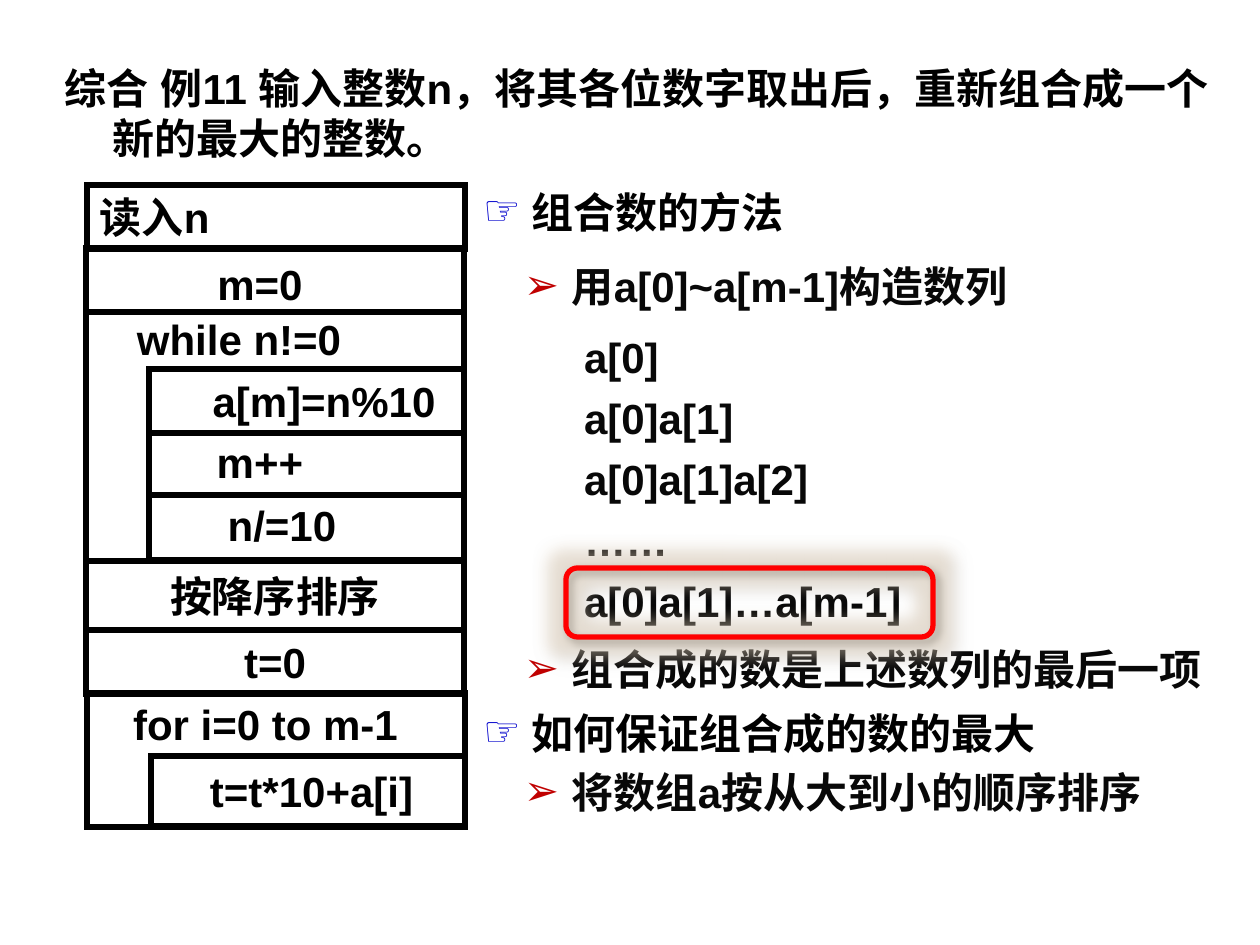
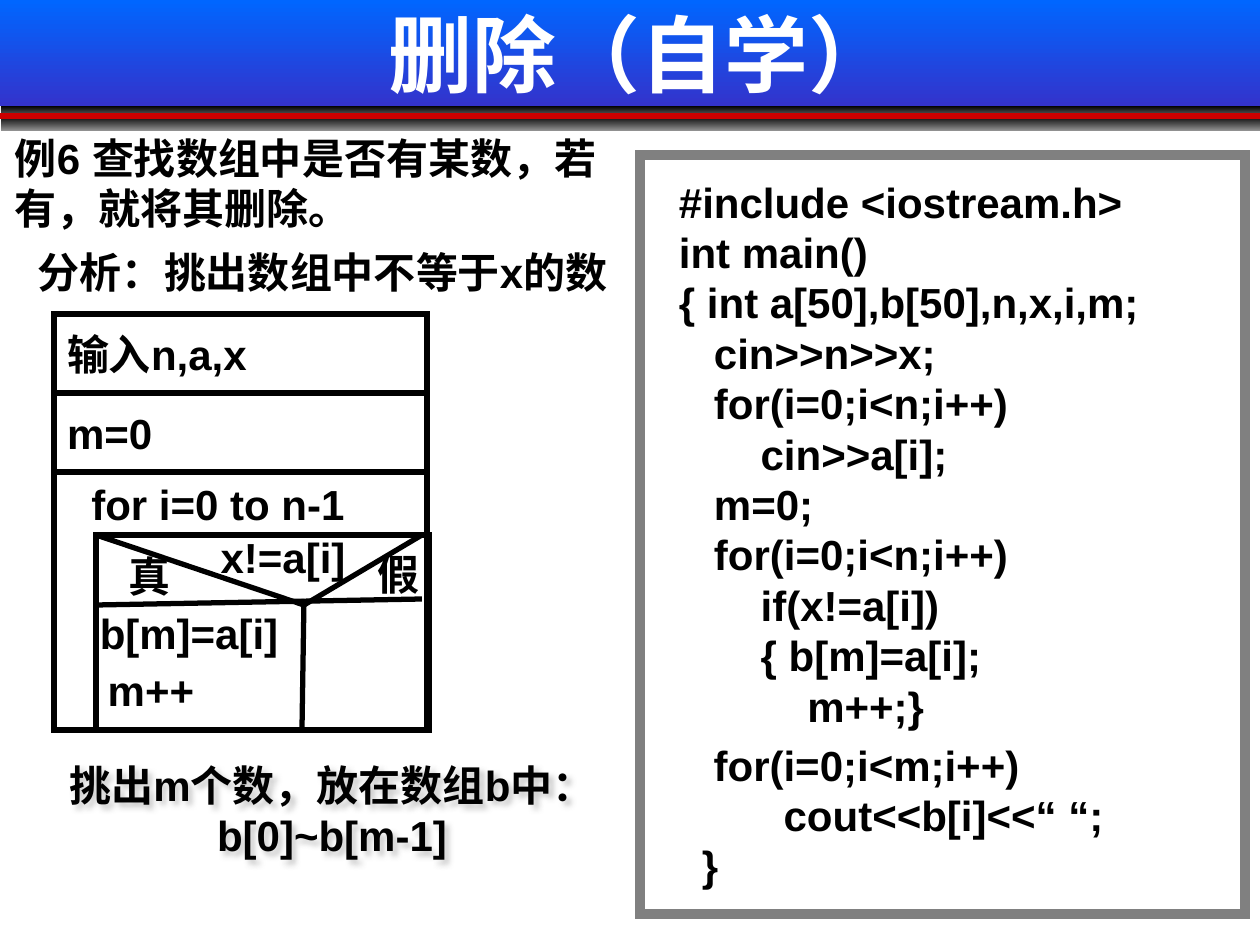
from lxml.etree import SubElement
from pptx import Presentation
from pptx.dml.color import RGBColor
from pptx.enum.shapes import MSO_CONNECTOR as CONN, MSO_SHAPE as SHAPE
from pptx.enum.text import MSO_ANCHOR as ANCHOR, PP_ALIGN as ALIGN
from pptx.oxml.ns import qn
from pptx.util import Emu, Pt

SCALE = 914400 / 126
BLACK, INK, WHITE, GRAY = "000000", "080808", "FFFFFF", "808080"
RED, BAND_RED, SHADE = "FF0000", "CC0000", "929292"
BLUE_TOP, BLUE_BOTTOM, GLOW = "0066FF", "3333CC", "E3CFB4"
HAND, ARROW = ("☞", "0000CC"), ("➢", "C00000")
SANS, CJK = "Arial", "Noto Sans CJK SC"
INSET, HANG, SPACE = 13, 48, 11.67


def px(n):
    return Emu(round(n * SCALE))


def color(value):
    return RGBColor.from_string(value)


def add(parent, tag, **attrs):
    return SubElement(parent, qn(tag), {k: str(v) for k, v in attrs.items()})


def tint(parent, value, alpha):
    add(add(parent, "a:srgbClr", val=value), "a:alpha", val=alpha * 1000)


def effects(sp, shadow=None, glow=None):
    lst = sp._element.spPr.find(qn("a:effectLst"))
    if lst is None:
        lst = add(sp._element.spPr, "a:effectLst")
    if glow:
        value, radius, alpha = glow
        tint(add(lst, "a:glow", rad=Pt(radius)), value, alpha)
    if shadow:
        value, alpha, blur, dist = shadow
        tint(add(lst, "a:outerShdw", blurRad=Pt(blur), dist=Pt(dist),
                 dir=45 * 60000, algn="ctr", rotWithShape=0), value, alpha)


def bullet(p, char, value):
    pPr = p._p.get_or_add_pPr()
    pPr.set("marL", str(px(HANG)))
    pPr.set("indent", str(-px(HANG)))
    if char:
        add(add(pPr, "a:buClr"), "a:srgbClr", val=value)
        add(pPr, "a:buFont", typeface=SANS)
        add(pPr, "a:buChar", char=char)


def write(sp, text, size=24, value=BLACK, font=SANS, align=ALIGN.CENTER,
          anchor=ANCHOR.MIDDLE, wrap=True, left=INSET, right=INSET, before=0,
          leading=28.8, mark=None, indents=()):
    tf = sp.text_frame
    tf.word_wrap = wrap
    tf.vertical_anchor = anchor
    tf.margin_left, tf.margin_right = px(left), px(right)
    for i, line in enumerate(text.split("\n")):
        p = tf.paragraphs[0] if i == 0 else tf.add_paragraph()
        p.alignment = align
        p.space_before = Pt(before)
        if leading:
            p.line_spacing = Pt(leading)
        if mark:
            bullet(p, *mark)
        elif indents:
            p._p.get_or_add_pPr().set("marL", str(px(indents[i] * SPACE)))
        r = p.add_run()
        r.text = line
        r.font.size, r.font.bold, r.font.name = Pt(size), True, font
        r.font.color.rgb = color(value)
        add(r._r.get_or_add_rPr(), "a:ea", typeface=SANS)


def label(s, x, y, w, h, text, **fmt):
    sp = s.shapes.add_textbox(px(x), px(y), px(w), px(h))
    write(sp, text, **fmt)
    return sp


def chart_labels(s, *items):
    for x, y, w, text in items:
        label(s, x, y, w, 64, text, wrap=False, left=0, right=0)


def box(s, x, y, w, h, text=None, shape=SHAPE.RECTANGLE, fill=None,
        line=BLACK, weight=3, **fmt):
    sp = s.shapes.add_shape(shape, px(x), px(y), px(w), px(h))
    sp.shadow.inherit = False
    if fill:
        sp.fill.solid()
        sp.fill.fore_color.rgb = color(fill)
    else:
        sp.fill.background()
    sp.line.color.rgb = color(line)
    sp.line.width = Pt(weight)
    add(sp._element.spPr.find(qn("a:ln")), "a:miter", lim=800000)
    if text:
        write(sp, text, **fmt)
    return sp


def band(s, x, y, w, h, top, bottom):
    sp = box(s, x, y, w, h)
    sp.line.fill.background()
    sp.fill.gradient()
    sp.fill.gradient_angle = 270
    for stop, value, pos in zip(sp.fill.gradient_stops, (top, bottom), (0, 1)):
        stop.color.rgb = color(value)
        stop.position = pos
    return sp


def line(s, x1, y1, x2, y2, value=BLACK):
    c = s.shapes.add_connector(CONN.STRAIGHT, px(x1), px(y1), px(x2), px(y2))
    c.line.color.rgb = color(value)
    c.line.width = Pt(3)
    effects(c)


def digits_chart(s):
    box(s, 86, 248, 378, 64)
    box(s, 86, 561, 378, 69, "按降序排序")
    box(s, 86, 312, 378, 249)
    box(s, 149, 369, 315, 64, "a[m]=n%10", left=48)
    box(s, 149, 369, 315, 191)
    line(s, 149, 495, 464, 495)
    box(s, 86, 630, 378, 64, "t=0")
    box(s, 87, 693, 378, 134)
    box(s, 151, 756, 314, 70)
    box(s, 87, 185, 378, 64, "读入n", align=ALIGN.LEFT)
    chart_labels(s, (134, 252, 252, "m=0"), (204, 430, 112, "m++"),
                 (123, 307, 232, "while n!=0"), (166, 493, 232, "n/=10"),
                 (105, 692, 321, "for i=0 to m-1"),
                 (151, 759, 321, "t=t*10+a[i]"))


def combine_slide(s):
    digits_chart(s)
    label(s, 52, 56, 1172, 110,
          "综合 例11 输入整数n，将其各位数字取出后，重新组合成一个新的最大的整数。",
          align=ALIGN.LEFT, anchor=ANCHOR.TOP, mark=(None, None))
    for y, text in ((180, "组合数的方法"), (701, "如何保证组合成的数的最大")):
        label(s, 470, y, 625, 63, text, font=CJK, align=ALIGN.LEFT, mark=HAND)
    for y, text in ((254, "用a[0]~a[m-1]构造数列"),
                    (637, "组合成的数是上述数列的最后一项"),
                    (760, "将数组a按从大到小的顺序排序")):
        label(s, 511, y, 719, 63, text, value=INK, align=ALIGN.LEFT, mark=ARROW)
    label(s, 571, 324, 684, 310,
          "a[0]\na[0]a[1]\na[0]a[1]a[2]\n……\na[0]a[1]…a[m-1]",
          value=INK, align=ALIGN.LEFT, before=6)
    frame = box(s, 566, 568, 367, 69, shape=SHAPE.ROUNDED_RECTANGLE, line=RED)
    effects(frame, shadow=(GRAY, 100, 5, 2.8), glow=(GLOW, 18, 40))


def title_band(s, title):
    blue = band(s, 0, 0, 1260, 106, BLUE_TOP, BLUE_BOTTOM)
    effects(blue, shadow=(GRAY, 75, 5, 3))
    for y in (106, 116):
        band(s, 1, y, 1259, 15, BLACK, SHADE)
    line(s, 0, 116, 1260, 116, BAND_RED)
    label(s, 105, 11, 1071, 84, title, size=48, value=WHITE, leading=None)


def filter_chart(s):
    for y, text in ((314, "输入n,a,x"), (393, "m=0")):
        box(s, 54, y, 373, 79, text, align=ALIGN.LEFT)
    box(s, 54, 472, 373, 258)
    box(s, 96, 535, 333, 195)
    for ends in ((96, 605, 422, 599), (96, 535, 304, 605),
                 (304, 605, 422, 535), (304, 599, 302, 731)):
        line(s, *ends)
    chart_labels(s, (79, 472, 278, "for i=0 to n-1"),
                 (205, 525, 156, "x!=a[i]"), (116, 544, 68, "真"),
                 (84, 601, 210, "b[m]=a[i]"), (364, 542, 68, "假"),
                 (95, 658, 112, "m++"))


def code(s, x, y, w, h, lines):
    indents, texts = zip(*lines)
    label(s, x, y, w, h, "\n".join(texts), align=ALIGN.LEFT,
          anchor=ANCHOR.TOP, indents=indents)


def delete_slide(s):
    label(s, 2, 126, 636, 114, "例6 查找数组中是否有某数，若有，就将其删除。",
          align=ALIGN.LEFT)
    label(s, 25, 240, 621, 64, "分析：挑出数组中不等于x的数", align=ALIGN.LEFT)
    filter_chart(s)
    box(s, 640, 155, 605, 759, fill=WHITE, line=GRAY, weight=6)
    code(s, 666, 170, 530, 567, (
        (0, "#include <iostream.h>"), (0, "int main()"),
        (0, "{ int a[50],b[50],n,x,i,m;"), (3, "cin>>n>>x;"),
        (3, "for(i=0;i<n;i++)"), (7, "cin>>a[i];"), (3, "m=0;"),
        (3, "for(i=0;i<n;i++)"), (7, "if(x!=a[i])"),
        (7, "{ b[m]=a[i];"), (11, "m++;}")))
    code(s, 689, 733, 508, 164, (
        (1, "for(i=0;i<m;i++)"), (7, "cout<<b[i]<<“ “;"), (0, "}")))
    title_band(s, "删除（自学）")
    note = label(s, 55, 753, 554, 114, "挑出m个数，放在数组b中：\nb[0]~b[m-1]",
                 anchor=ANCHOR.TOP)
    effects(note, shadow=(GRAY, 40, 3, 3))


def main():
    prs = Presentation()
    prs.slide_width, prs.slide_height = px(1260), px(945)
    for build in (combine_slide, delete_slide):
        build(prs.slides.add_slide(prs.slide_layouts[6]))
    prs.save("out.pptx")


if __name__ == "__main__":
    main()
